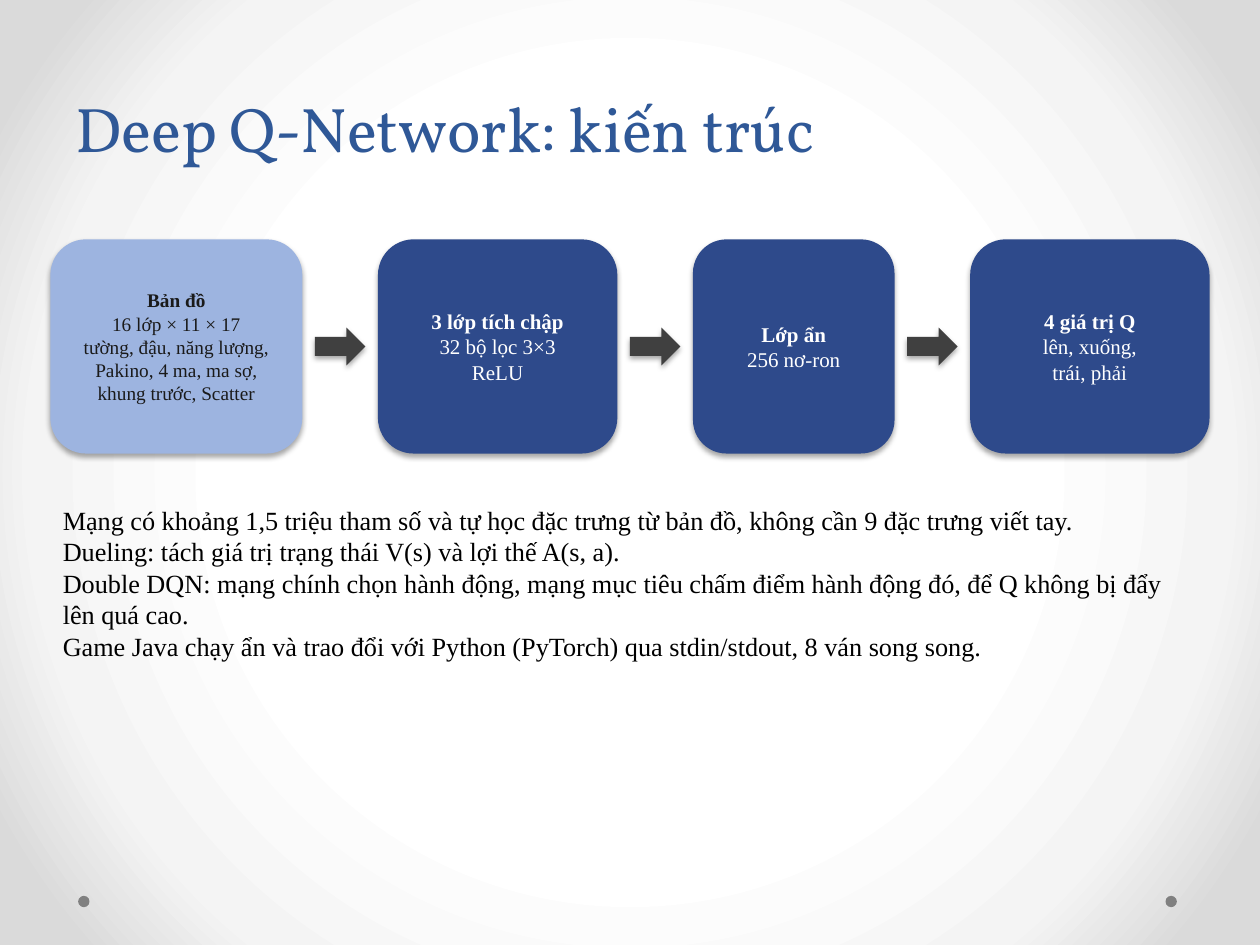
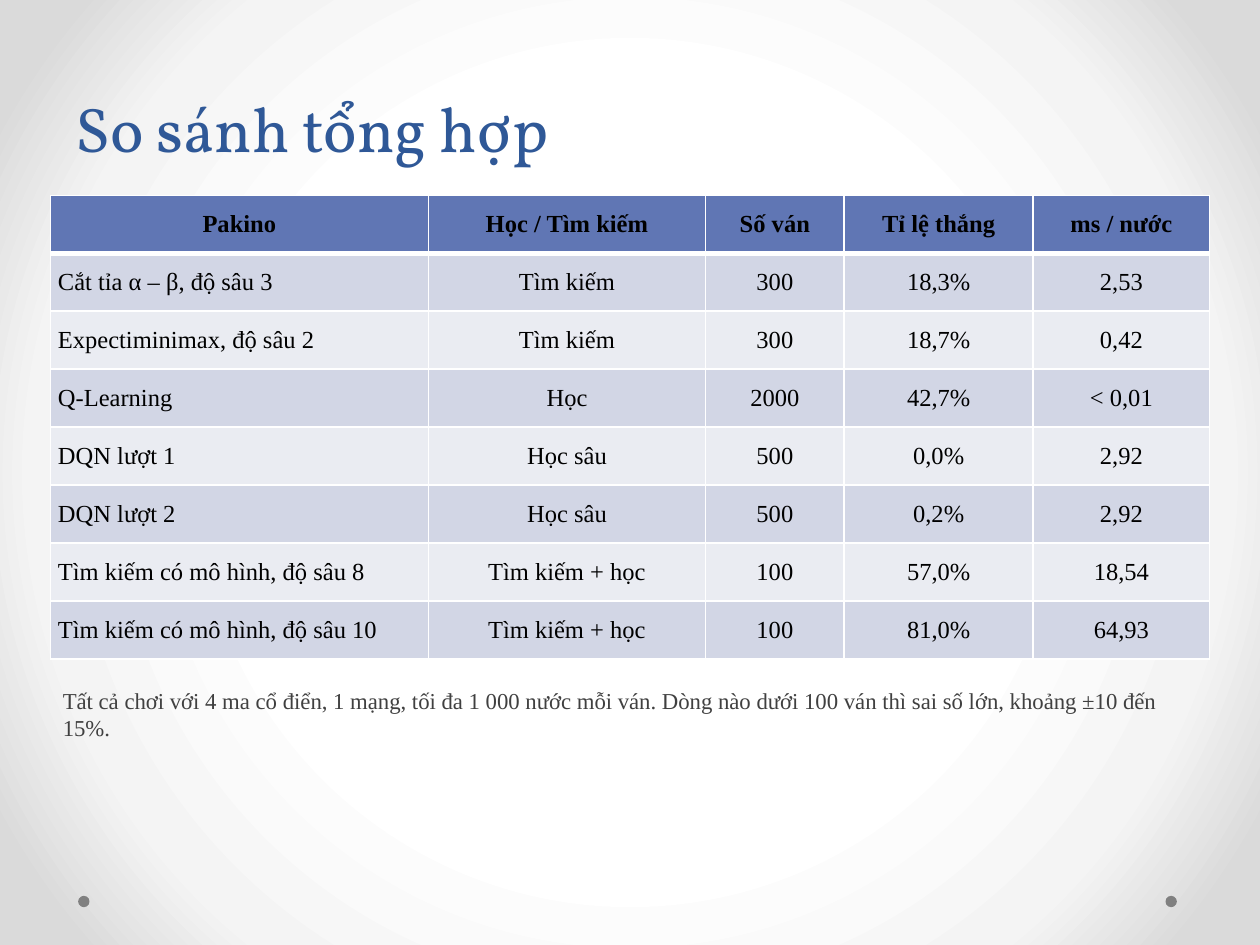
"""Build two slides: the Deep Q-Network architecture and a results comparison table."""
from lxml.etree import SubElement
from pptx import Presentation
from pptx.dml.color import RGBColor
from pptx.enum.shapes import MSO_SHAPE as Shape
from pptx.enum.text import MSO_ANCHOR as Anchor, PP_ALIGN as Align
from pptx.oxml import parse_xml
from pptx.oxml.ns import nsdecls, qn
from pptx.util import Inches, Pt

WHITE = RGBColor(0xFF, 0xFF, 0xFF)
BLACK = RGBColor(0x00, 0x00, 0x00)
INK = RGBColor(0x1A, 0x1A, 0x1A)
CHARCOAL = RGBColor(0x40, 0x40, 0x40)
DOT_GRAY = RGBColor(0x80, 0x80, 0x80)
TITLE_BLUE = RGBColor(0x2F, 0x58, 0x97)
LIGHT_BLUE = RGBColor(0x9D, 0xB4, 0xE0)
NAVY = RGBColor(0x2E, 0x4A, 0x8B)
HEADER_BLUE = RGBColor(0x60, 0x76, 0xB4)
BANDS = (RGBColor(0xD2, 0xD6, 0xE5), RGBColor(0xEA, 0xEC, 0xF2))
BACKGROUND_STOPS = ((50, WHITE), (76, RGBColor(0xF4, 0xF4, 0xF4)), (92, RGBColor(0xDA, 0xDA, 0xDA)))

TITLE_FONT, BODY_FONT = "Vollkorn", "Times New Roman"
LEFT, CONTENT_WIDTH = 0.4, 9.2
DOT_LEFTS, DOT_TOP, DOT_SIZE = (0.62, 9.25), 7.11, 0.09

NETWORK_TITLE = "Deep Q-Network: kiến trúc"
STAGES = [
    (2.0, LIGHT_BLUE, INK, 11, ["Bản đồ", "16 lớp × 11 × 17", "tường, đậu, năng lượng,",
                                "Pakino, 4 ma, ma sợ,", "khung trước, Scatter"]),
    (1.9, NAVY, WHITE, 12, ["3 lớp tích chập", "32 bộ lọc 3×3", "ReLU"]),
    (1.6, NAVY, WHITE, 12, ["Lớp ẩn", "256 nơ-ron"]),
    (1.9, NAVY, WHITE, 12, ["4 giá trị Q", "lên, xuống,", "trái, phải"]),
]
STAGE_TOP, STAGE_HEIGHT = 1.9, 1.7
ARROW_WIDTH, ARROW_HEIGHT, ARROW_GAP = 0.4, 0.3, 0.1
NETWORK_NOTES = [
    "Mạng có khoảng 1,5 triệu tham số và tự học đặc trưng từ bản đồ, không cần 9 đặc trưng viết tay.",
    "Dueling: tách giá trị trạng thái V(s) và lợi thế A(s, a).",
    "Double DQN: mạng chính chọn hành động, mạng mục tiêu chấm điểm hành động đó, "
    "để Q không bị đẩy lên quá cao.",
    "Game Java chạy ẩn và trao đổi với Python (PyTorch) qua stdin/stdout, 8 ván song song.",
]

RESULTS_TITLE = "So sánh tổng hợp"
COLUMN_WIDTHS = (3, 2.2, 1.1, 1.5, 1.4)
TABLE_TOP, ROW_HEIGHT = 1.55, 0.46
RESULTS = [
    ("Pakino", "Học / Tìm kiếm", "Số ván", "Tỉ lệ thắng", "ms / nước"),
    ("Cắt tỉa α – β, độ sâu 3", "Tìm kiếm", "300", "18,3%", "2,53"),
    ("Expectiminimax, độ sâu 2", "Tìm kiếm", "300", "18,7%", "0,42"),
    ("Q-Learning", "Học", "2000", "42,7%", "< 0,01"),
    ("DQN lượt 1", "Học sâu", "500", "0,0%", "2,92"),
    ("DQN lượt 2", "Học sâu", "500", "0,2%", "2,92"),
    ("Tìm kiếm có mô hình, độ sâu 8", "Tìm kiếm + học", "100", "57,0%", "18,54"),
    ("Tìm kiếm có mô hình, độ sâu 10", "Tìm kiếm + học", "100", "81,0%", "64,93"),
]
RESULTS_NOTE = ("Tất cả chơi với 4 ma cổ điển, 1 mạng, tối đa 1 000 nước mỗi ván. "
                "Dòng nào dưới 100 ván thì sai số lớn, khoảng ±10 đến 15%.")


def set_background(master):
    master.background.fill.gradient()
    gradient = master.element.find(".//" + qn("p:bgPr")).find(qn("a:gradFill"))
    stops = "".join(f'<a:gs pos="{position * 1000}"><a:srgbClr val="{color}"/></a:gs>'
                    for position, color in BACKGROUND_STOPS)
    gradient.getparent().replace(gradient, parse_xml(
        f'<a:gradFill {nsdecls("a")} rotWithShape="1"><a:gsLst>{stops}</a:gsLst><a:path path="circle">'
        '<a:fillToRect l="50000" t="50000" r="50000" b="50000"/></a:path></a:gradFill>'))


def write_lines(frame, lines, size, color, font=BODY_FONT, align=Align.LEFT, bold_first=False):
    frame.word_wrap = True
    for index, line in enumerate(lines):
        paragraph = frame.add_paragraph() if index else frame.paragraphs[0]
        paragraph.text = line
        paragraph.alignment = align
        paragraph.font.name = font
        paragraph.font.size = Pt(size)
        paragraph.font.bold = bold_first and index == 0
        paragraph.font.color.rgb = color


def add_text(slide, top, height, lines, size, color, left=LEFT, width=CONTENT_WIDTH, font=BODY_FONT):
    box = slide.shapes.add_textbox(Inches(left), Inches(top), Inches(width), Inches(height))
    write_lines(box.text_frame, lines, size, color, font)
    return box.text_frame


def add_filled(slide, kind, left, top, width, height, color, shadow=False):
    shape = slide.shapes.add_shape(kind, Inches(left), Inches(top), Inches(width), Inches(height))
    shape.fill.solid()
    shape.fill.fore_color.rgb = color
    shape.line.fill.background()
    shape.shadow.inherit = False
    if shadow:
        shape.element.spPr.find(qn("a:effectLst")).append(parse_xml(
            f'<a:outerShdw {nsdecls("a")} blurRad="{Pt(3.1)}" dist="{Pt(1.8)}" dir="5400000" rotWithShape="0">'
            '<a:srgbClr val="000000"><a:alpha val="35000"/></a:srgbClr></a:outerShdw>'))
    return shape


def add_slide(presentation, title):
    slide = presentation.slides.add_slide(presentation.slide_layouts[6])
    for left in DOT_LEFTS:
        add_filled(slide, Shape.OVAL, left, DOT_TOP, DOT_SIZE, DOT_SIZE, DOT_GRAY)
    frame = add_text(slide, 0.36, 1, [title], 36, TITLE_BLUE, left=0.5, width=9, font=TITLE_FONT)
    frame.vertical_anchor = Anchor.BOTTOM
    frame.paragraphs[0].line_spacing = Pt(58)
    return slide


def add_stages(slide):
    left = LEFT
    arrow_top = STAGE_TOP + (STAGE_HEIGHT - ARROW_HEIGHT) / 2
    for index, (width, fill, color, size, lines) in enumerate(STAGES):
        if index:
            add_filled(slide, Shape.RIGHT_ARROW, left + ARROW_GAP, arrow_top,
                       ARROW_WIDTH, ARROW_HEIGHT, CHARCOAL, shadow=True)
            left += ARROW_WIDTH + 2 * ARROW_GAP
        stage = add_filled(slide, Shape.ROUNDED_RECTANGLE, left, STAGE_TOP, width, STAGE_HEIGHT, fill, shadow=True)
        frame = stage.text_frame
        frame.margin_left = frame.margin_right = frame.margin_top = frame.margin_bottom = Inches(0.05)
        frame.vertical_anchor = Anchor.MIDDLE
        write_lines(frame, lines, size, color, align=Align.CENTER, bold_first=True)
        left += width


def set_borders(cell, top, bottom):
    properties = cell._tc.get_or_add_tcPr()
    for side, width in (("L", 1), ("R", 1), ("T", top), ("B", bottom)):
        line = SubElement(properties, qn(f"a:ln{side}"), w=str(Pt(width)))
        SubElement(SubElement(line, qn("a:solidFill")), qn("a:srgbClr"), val=str(WHITE))


def add_results(slide):
    table = slide.shapes.add_table(len(RESULTS), len(COLUMN_WIDTHS), Inches(LEFT), Inches(TABLE_TOP),
                                   Inches(CONTENT_WIDTH), Inches(ROW_HEIGHT * len(RESULTS))).table
    table.first_row = table.horz_banding = False
    for column, width in zip(table.columns, COLUMN_WIDTHS):
        column.width = Inches(width)
    for row, values in enumerate(RESULTS):
        table.rows[row].height = Inches(ROW_HEIGHT)
        header = row == 0
        for column, value in enumerate(values):
            cell = table.cell(row, column)
            set_borders(cell, top=3 if row == 1 else 1, bottom=3 if header else 1)
            cell.fill.solid()
            cell.fill.fore_color.rgb = HEADER_BLUE if header else BANDS[(row - 1) % 2]
            cell.margin_left = cell.margin_right = Inches(0.06)
            cell.vertical_anchor = Anchor.MIDDLE
            align = Align.CENTER if header or column else Align.LEFT
            write_lines(cell.text_frame, [value], 14, BLACK, align=align, bold_first=header)


def main():
    presentation = Presentation()
    presentation.slide_width, presentation.slide_height = Inches(10), Inches(7.5)
    set_background(presentation.slide_master)

    network = add_slide(presentation, NETWORK_TITLE)
    add_stages(network)
    add_text(network, 3.95, 2.4, NETWORK_NOTES, 15, BLACK)

    results = add_slide(presentation, RESULTS_TITLE)
    add_results(results)
    add_text(results, 5.4, 1, [RESULTS_NOTE], 13, CHARCOAL)

    presentation.save("out.pptx")


if __name__ == "__main__":
    main()
